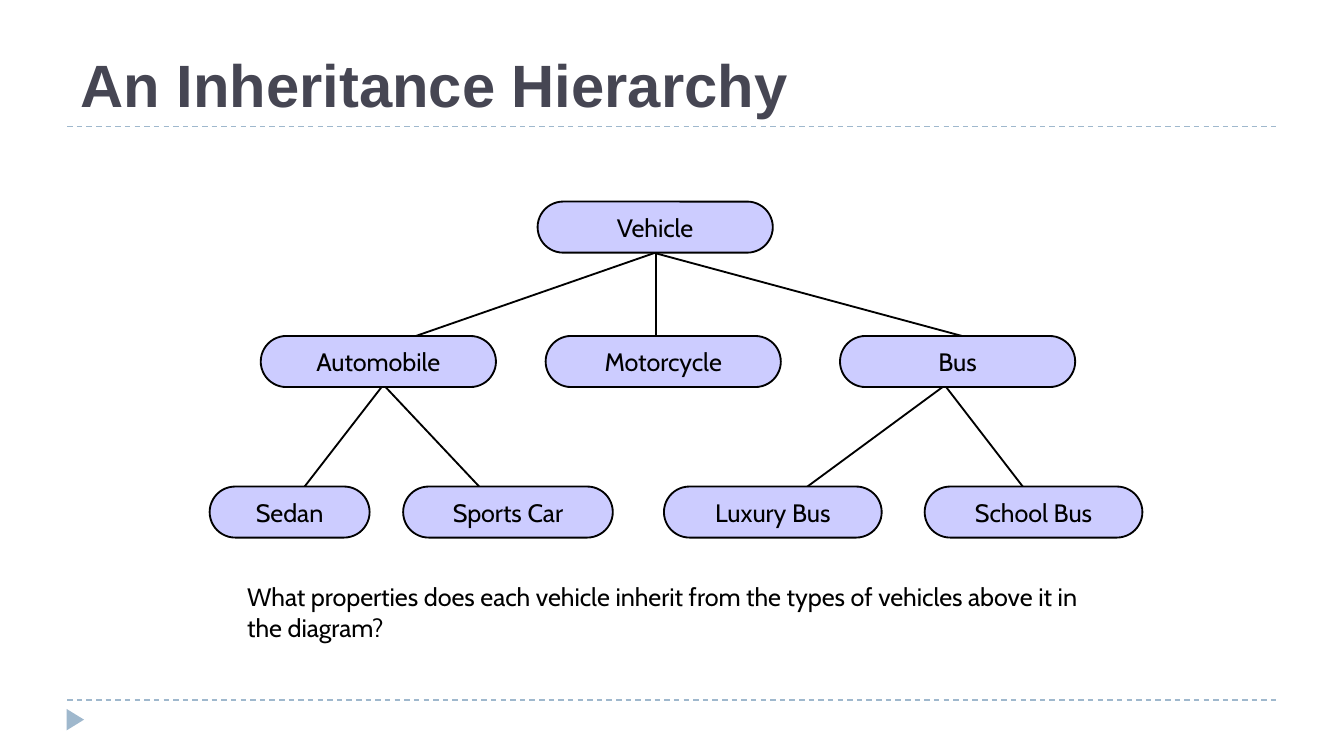
from lxml.etree import SubElement
from pptx import Presentation
from pptx.dml.color import RGBColor
from pptx.enum.dml import MSO_LINE_DASH_STYLE as Dash
from pptx.enum.shapes import MSO_CONNECTOR_TYPE as Connector, MSO_SHAPE as Shape
from pptx.enum.text import MSO_ANCHOR as Anchor, PP_ALIGN as Align
from pptx.oxml.ns import qn
from pptx.util import Inches, Pt

BLACK = RGBColor(0x00, 0x00, 0x00)
SLATE = RGBColor(0x46, 0x46, 0x53)
LAVENDER = RGBColor(0xCC, 0xCC, 0xFF)
STEEL = RGBColor(0x9F, 0xB8, 0xCD)

NODE_HEIGHT = 0.38
LEVELS = [
    (1.5, [("Vehicle", 4, 1.75)]),
    (2.5, [("Automobile", 1.94, 1.75), ("Motorcycle", 4.06, 1.75), ("Bus", 6.25, 1.75)]),
    (3.62, [("Sedan", 1.56, 1.19), ("Sports Car", 3, 1.56),
            ("Luxury Bus", 4.94, 1.62), ("School Bus", 6.88, 1.62)]),
]
BRANCHES = [
    ((5.25, 1.75), (2.75, 2.62)),
    ((4.88, 1.69), (4.88, 2.75)),
    ((4.38, 1.75), (7.38, 2.56)),
    ((2.94, 2.75), (2.12, 3.81)),
    ((2.69, 2.69), (3.81, 3.88)),
    ((7.19, 2.75), (5.75, 3.81)),
    ((6.94, 2.75), (7.81, 3.88)),
]


def write_text(frame, text, size=13.5, font="Cabin", color=BLACK, bold=False,
               align=Align.LEFT, anchor=Anchor.TOP, wrap=True):
    frame.word_wrap = wrap
    frame.vertical_anchor = anchor
    para = frame.paragraphs[0]
    para.alignment = align
    span = para.add_run()
    span.text = text
    span.font.size = Pt(size)
    span.font.name = font
    span.font.bold = bold
    span.font.color.rgb = color


def place_title(page, text):
    title = page.shapes.title
    title.left, title.top = Inches(0.5), Inches(0.19)
    title.width, title.height = Inches(9), Inches(0.75)
    write_text(title.text_frame, text, size=32, font="Arial", color=SLATE,
               bold=True, anchor=Anchor.BOTTOM)


def add_line(page, start, end, color=BLACK, width=1, dash=None):
    line = page.shapes.add_connector(
        Connector.STRAIGHT, *(Inches(value) for value in (*start, *end)))
    line.line.color.rgb = color
    line.line.width = Pt(width)
    if dash:
        line.line.dash_style = dash
    SubElement(line._element.spPr, qn("a:effectLst"))


def add_marker(page):
    marker = page.shapes.add_shape(Shape.ISOSCELES_TRIANGLE, Inches(0.48), Inches(5.29),
                                   Inches(0.16), Inches(0.13))
    marker.rotation = 90
    marker.shadow.inherit = False
    marker.fill.solid()
    marker.fill.fore_color.rgb = STEEL
    marker.line.fill.background()


def add_node(page, text, left, top, width):
    node = page.shapes.add_shape(Shape.ROUNDED_RECTANGLE, Inches(left), Inches(top),
                                 Inches(width), Inches(NODE_HEIGHT))
    node.adjustments[0] = 0.5
    node.shadow.inherit = False
    node.fill.solid()
    node.fill.fore_color.rgb = LAVENDER
    node.line.color.rgb = BLACK
    node.line.width = Pt(1)
    write_text(node.text_frame, text, align=Align.CENTER, anchor=Anchor.MIDDLE, wrap=False)


def add_question(page, text):
    box = page.shapes.add_textbox(Inches(1.74), Inches(4.28), Inches(6.51), Inches(0.56))
    write_text(box.text_frame, text)


def main():
    deck = Presentation()
    deck.slide_width = Inches(10)
    deck.slide_height = deck.slide_width * 9 // 16
    page = deck.slides.add_slide(deck.slide_layouts[5])

    for height in (5.21, 0.94):
        add_line(page, (0.5, height), (9.5, height), color=STEEL, width=0.75, dash=Dash.DASH)
    add_marker(page)
    place_title(page, "An Inheritance Hierarchy")
    for start, end in BRANCHES:
        add_line(page, start, end)
    for top, nodes in LEVELS:
        for text, left, width in nodes:
            add_node(page, text, left, top, width)
    add_question(page, "What properties does each vehicle inherit from the types of "
                       "vehicles above it in the diagram?")
    deck.save("out.pptx")


if __name__ == "__main__":
    main()
